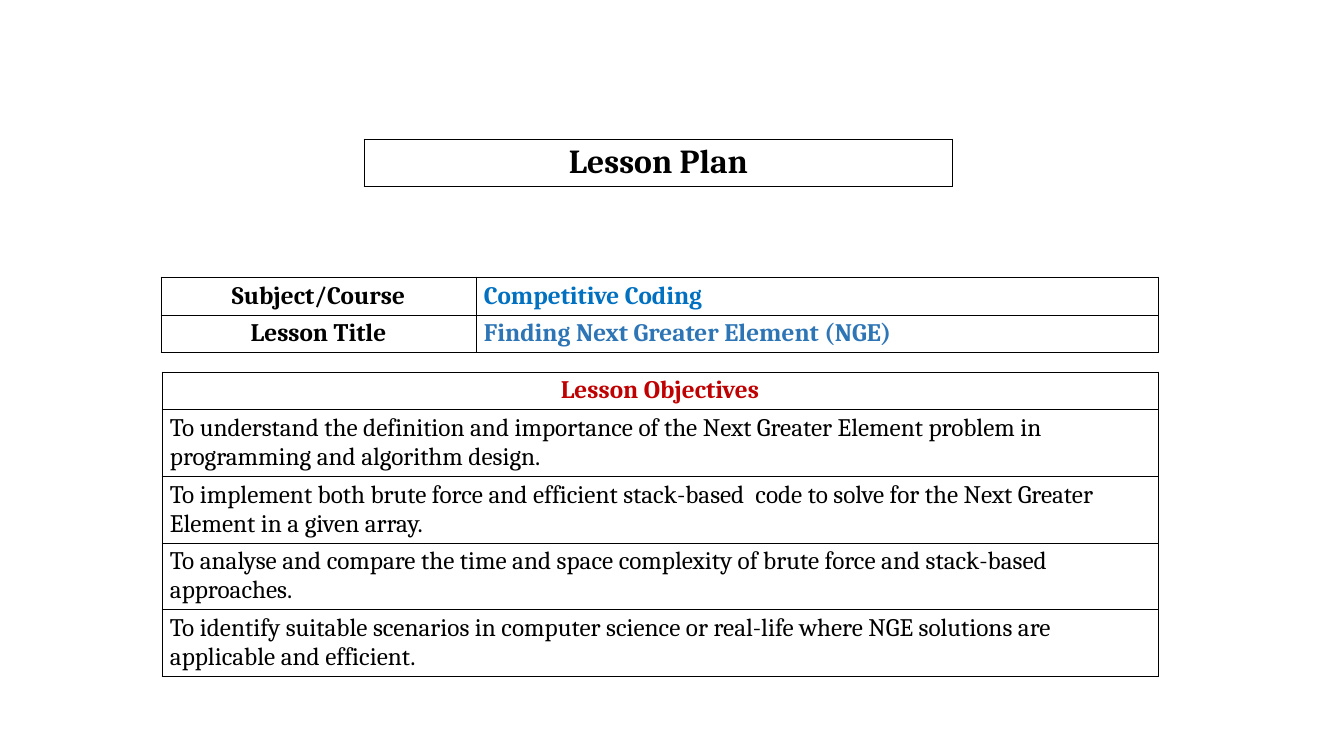
"""Build the lesson plan slide with its title, course and objectives tables."""
from dataclasses import dataclass

from lxml.etree import SubElement
from pptx import Presentation
from pptx.dml.color import RGBColor
from pptx.enum.text import MSO_ANCHOR, PP_ALIGN
from pptx.oxml.ns import qn
from pptx.slide import Slide
from pptx.table import _Cell
from pptx.util import Emu, Pt

PX_PER_INCH = 100.8
EMU_PER_PX = 914400 / PX_PER_INCH


@dataclass(frozen=True)
class Theme:
    font: str = "Cambria"
    title_size: int = 24
    text_size: int = 18
    border_width: float = 0.77
    black: str = "000000"
    white: str = "FFFFFF"
    course_blue: str = "0070C0"
    lesson_blue: str = "2E75B6"
    red: str = "C00000"


THEME = Theme()


@dataclass(frozen=True)
class CellText:
    text: str
    color: str = THEME.black
    size: int = THEME.text_size
    bold: bool = True
    centered: bool = False


@dataclass(frozen=True)
class TableSpec:
    left: int
    top: int
    columns: list[int]
    row_heights: list[int]
    rows: list[list[CellText]]


OBJECTIVES = [
    "To understand the definition and importance of the Next Greater Element problem in "
    "programming and algorithm design.",
    "To implement both brute force and efficient stack-based  code to solve for the Next Greater "
    "Element in a given array.",
    "To analyse and compare the time and space complexity of brute force and stack-based "
    "approaches.",
    "To identify suitable scenarios in computer science or real-life where NGE solutions are "
    "applicable and efficient.",
]

TABLES = [
    TableSpec(364, 139, [589], [47],
              [[CellText("Lesson Plan", size=THEME.title_size, centered=True)]]),
    TableSpec(161, 277, [315, 683], [38, 37], [
        [CellText("Subject/Course", centered=True),
         CellText("Competitive Coding", THEME.course_blue)],
        [CellText("Lesson Title", centered=True),
         CellText("Finding Next Greater Element (NGE)", THEME.lesson_blue)],
    ]),
    TableSpec(162, 372, [996], [37, 67, 67, 66, 67], [
        [CellText("Lesson Objectives", THEME.red, centered=True)],
        *[[CellText(objective, bold=False)] for objective in OBJECTIVES],
    ]),
]


def px(length: int) -> Emu:
    """Turn pixels into EMU."""
    return Emu(round(length * EMU_PER_PX))


def add_borders(cell: _Cell) -> None:
    """Draw a thin line on each side of the cell."""
    properties = cell._tc.get_or_add_tcPr()
    for side in ("a:lnL", "a:lnR", "a:lnT", "a:lnB"):
        line = SubElement(properties, qn(side), w=str(Pt(THEME.border_width)))
        fill = SubElement(line, qn("a:solidFill"))
        SubElement(fill, qn("a:srgbClr"), val=THEME.black)


def fill_cell(cell: _Cell, content: CellText) -> None:
    """Format one cell and write its text."""
    add_borders(cell)
    cell.fill.solid()
    cell.fill.fore_color.rgb = RGBColor.from_string(THEME.white)
    cell.vertical_anchor = MSO_ANCHOR.MIDDLE
    cell.margin_left = cell.margin_right = px(8)
    cell.margin_top = cell.margin_bottom = px(4)
    paragraph = cell.text_frame.paragraphs[0]
    paragraph.alignment = PP_ALIGN.CENTER if content.centered else PP_ALIGN.LEFT
    run = paragraph.add_run()
    run.text = content.text
    run.font.name = THEME.font
    run.font.size = Pt(content.size)
    run.font.bold = content.bold
    run.font.color.rgb = RGBColor.from_string(content.color)


def draw_table(slide: Slide, spec: TableSpec) -> None:
    """Add one table to the slide."""
    table = slide.shapes.add_table(
        len(spec.rows), len(spec.columns), px(spec.left), px(spec.top),
        px(sum(spec.columns)), px(sum(spec.row_heights))).table
    table.first_row = table.horz_banding = False
    for column, width in zip(table.columns, spec.columns):
        column.width = px(width)
    for row, height, contents in zip(table.rows, spec.row_heights, spec.rows):
        row.height = px(height)
        for cell, content in zip(row.cells, contents):
            fill_cell(cell, content)


def main() -> None:
    """Create the presentation and save it."""
    presentation = Presentation()
    presentation.slide_width = px(1344)
    presentation.slide_height = px(756)
    slide = presentation.slides.add_slide(presentation.slide_layouts[6])
    for spec in TABLES:
        draw_table(slide, spec)
    presentation.save("out.pptx")


if __name__ == "__main__":
    main()
